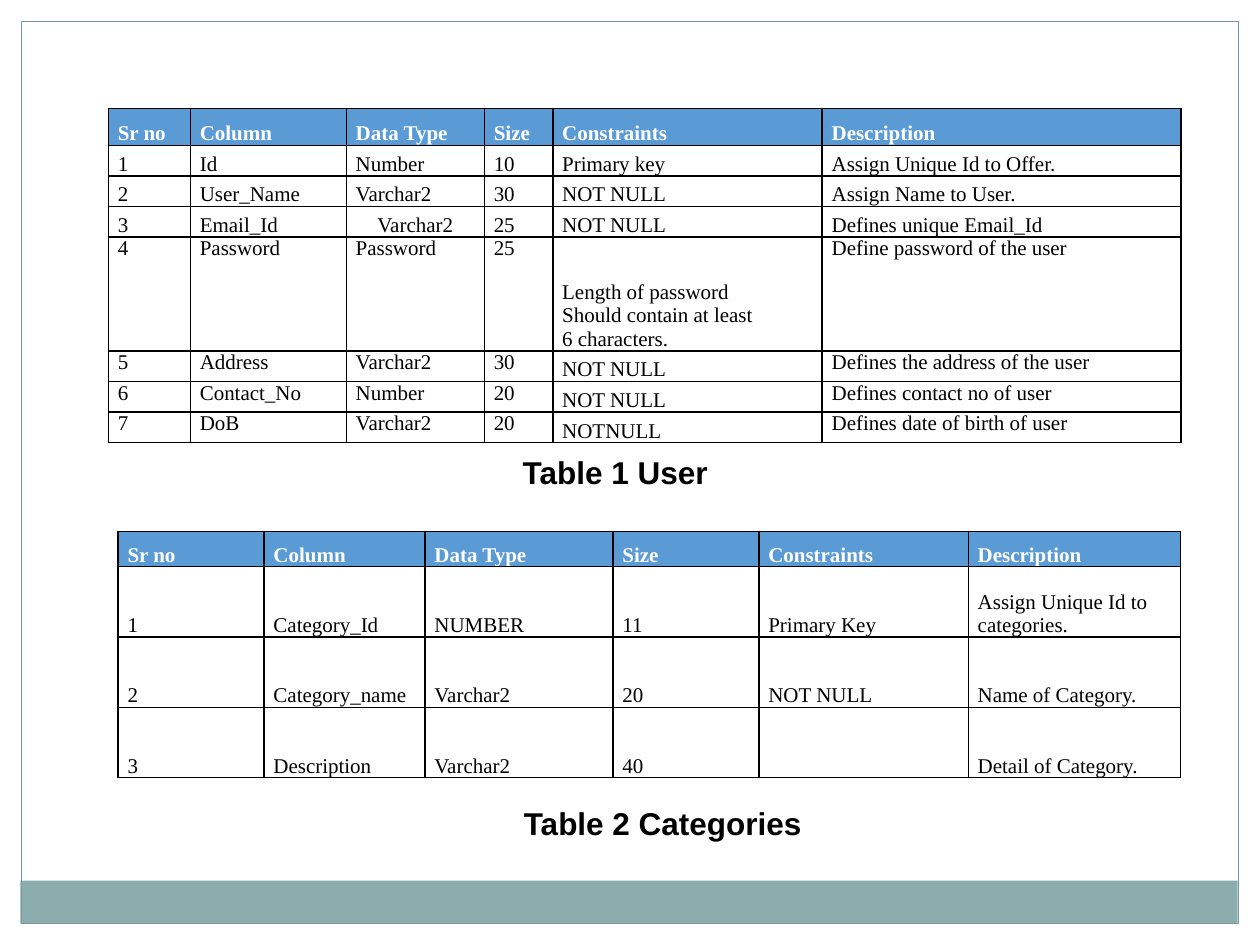
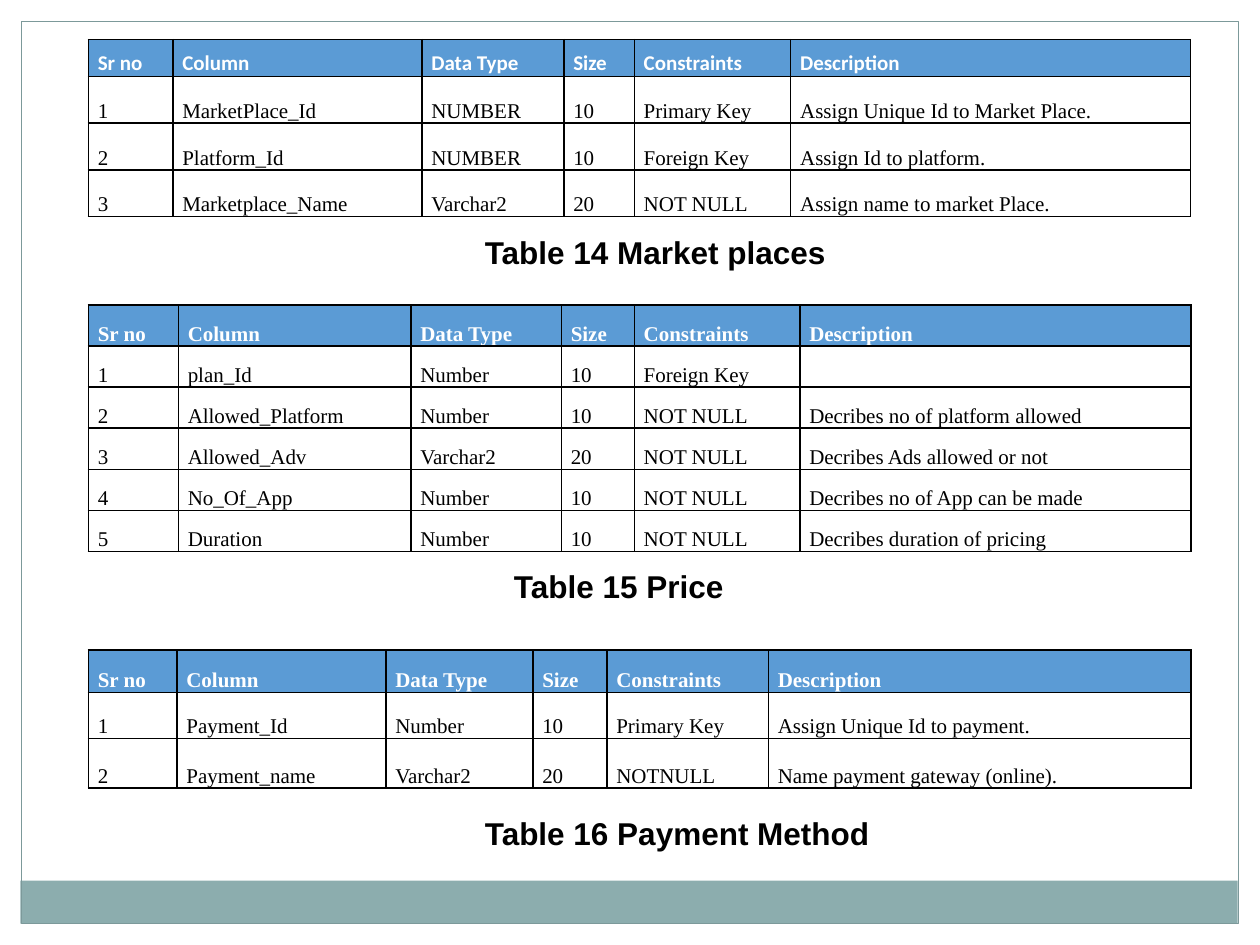
from lxml import etree
from pptx import Presentation
from pptx.dml.color import RGBColor
from pptx.enum.shapes import MSO_SHAPE
from pptx.enum.text import MSO_ANCHOR, MSO_AUTO_SIZE, PP_ALIGN
from pptx.oxml.ns import qn
from pptx.util import Pt

RECT = MSO_SHAPE.RECTANGLE
TOP, BOTTOM = MSO_ANCHOR.TOP, MSO_ANCHOR.BOTTOM
CENTER = PP_ALIGN.CENTER
GROW = MSO_AUTO_SIZE.SHAPE_TO_FIT_TEXT

WIDE, HIGH, EDGE = 720, 540, 12.2
WHITE, BLACK, BLUE = "FFFFFF", "000000", "5B9BD5"
TEAL, RIM = "8CADAE", "7C999A"
SERIF, SANS = "Times New Roman", "Arial"
HEADS = "Sr no|Column|Data Type|Size|Constraints|Description"

HEAD = {"name": SERIF, "size": Pt(12), "bold": True}
BODY = {"name": SERIF, "size": Pt(12), "bold": False}
TITLE = {"name": SANS, "size": Pt(18), "bold": True}

USER = [
    "1|Id|Number|10|Primary key|Assign Unique Id to Offer.",
    "2|User_Name|Varchar2|30|NOT NULL|Assign Name to User.",
    "3|Email_Id|Varchar2|25|NOT NULL|Defines unique Email_Id",
    "4|Password|Password|25|Length of password\nShould contain at least\n6 characters.|Define password of the user",
    "5|Address|Varchar2|30|NOT NULL|Defines the address of the user",
    "6|Contact_No|Number|20|NOT NULL|Defines contact no of user",
    "7|DoB|Varchar2|20|NOTNULL|Defines date of birth of user",
]
GROUPS = [
    "1|Category_Id|NUMBER|11|Primary Key|Assign Unique Id to categories.",
    "2|Category_name|Varchar2|20|NOT NULL|Name of Category.",
    "3|Description|Varchar2|40||Detail of Category.",
]
MARKET = [
    "1|MarketPlace_Id|NUMBER|10|Primary Key|Assign Unique Id to Market Place.",
    "2|Platform_Id|NUMBER|10|Foreign Key|Assign Id to platform.",
    "3|Marketplace_Name|Varchar2|20|NOT NULL|Assign name to market Place.",
]
PRICE = [
    "1|plan_Id|Number|10|Foreign Key|",
    "2|Allowed_Platform|Number|10|NOT NULL|Decribes no of platform allowed",
    "3|Allowed_Adv|Varchar2|20|NOT NULL|Decribes Ads allowed or not",
    "4|No_Of_App|Number|10|NOT NULL|Decribes no of App can be made",
    "5|Duration|Number|10|NOT NULL|Decribes duration of pricing",
]
PAYMENT = [
    "1|Payment_Id|Number|10|Primary Key|Assign Unique Id to payment.",
    "2|Payment_name|Varchar2|20|NOTNULL|Name payment gateway (online).",
]


def tint(code):
    return RGBColor.from_string(code)


def style(frame, look, color):
    for para in frame.paragraphs:
        for run in para.runs:
            for key, value in look.items():
                setattr(run.font, key, value)
            run.font.color.rgb = tint(color)


def block(slide, box, fill=None, line=None):
    shape = slide.shapes.add_shape(RECT, *map(Pt, box))
    shape.shadow.inherit = False
    if fill:
        shape.fill.solid()
        shape.fill.fore_color.rgb = tint(fill)
    else:
        shape.fill.background()
    if line:
        shape.line.color.rgb = tint(line)
        shape.line.width = Pt(0.75)
    else:
        shape.line.fill.background()


def border(cell):
    props = cell._tc.get_or_add_tcPr()
    for side in ("lnL", "lnR", "lnT", "lnB"):
        line = etree.SubElement(props, qn("a:" + side), w=str(Pt(1)))
        fill = etree.SubElement(line, qn("a:solidFill"))
        etree.SubElement(fill, qn("a:srgbClr"), val=BLACK)


def fill_cell(cell, text, head, look):
    cell.text = text
    cell.margin_left = cell.margin_right = Pt(5.4)
    cell.margin_top = cell.margin_bottom = 0
    cell.vertical_anchor = BOTTOM
    border(cell)
    if head:
        cell.fill.solid()
        cell.fill.fore_color.rgb = tint(BLUE)
    else:
        cell.fill.background()
    style(cell.text_frame, look, WHITE if head else BLACK)


def grid(slide, spot, cols, rows, lines, font=SERIF):
    lines = [HEADS] + lines
    box = (*spot, sum(cols), sum(rows))
    table = slide.shapes.add_table(len(rows), len(cols), *map(Pt, box)).table
    table.first_row = table.horz_banding = False
    for col, width in zip(table.columns, cols):
        col.width = Pt(width)
    for row, height in zip(table.rows, rows):
        row.height = Pt(height)
    for r, line in enumerate(lines):
        look = BODY if r else {**HEAD, "name": font}
        for c, text in enumerate(line.split("|")):
            fill_cell(table.cell(r, c), text, r == 0, look)
    return table


def label(slide, box, text, wrap=False):
    frame = slide.shapes.add_textbox(*map(Pt, box)).text_frame
    frame.word_wrap = wrap
    frame.auto_size = GROW
    frame.text = text
    style(frame, TITLE, BLACK)


def base(deck):
    slide = deck.slides.add_slide(deck.slide_layouts[6])
    inner = WIDE - 2 * EDGE
    for box in ((0, 0, WIDE, EDGE), (WIDE - EDGE, 0, EDGE, HIGH), (0, 0, EDGE, HIGH)):
        block(slide, box, WHITE)
    block(slide, (EDGE - 0.5, 503.3, inner, 24.5), TEAL)
    block(slide, (EDGE, EDGE, inner, HIGH - 2 * EDGE), line=RIM)
    return slide


def users(deck):
    slide = base(deck)
    table = grid(slide, (61.9, 61.9), [46.9, 89.1, 78.9, 39.1, 154, 204.9],
                 [21.1] + [17.5] * 3 + [65] + [17.5] * 3, USER)
    table.cell(3, 2).text_frame.paragraphs[0].alignment = CENTER
    for r in range(4, 8):
        for c in (0, 1, 2, 3, 5):
            table.cell(r, c).vertical_anchor = TOP
    label(slide, (291.6, 255.6, 121, 28.8), "Table 1 User")
    grid(slide, (67.5, 303.7), [83.4, 92, 107.4, 83.4, 119.7, 121.4],
         [20.1] + [40.2] * 3, GROUPS)
    label(slide, (292.3, 455.8, 275.8, 28.8), "Table 2 Categories", True)


def sales(deck):
    slide = base(deck)
    left = 50.5
    grid(slide, (left, 22.6), [48.3, 142.3, 81.1, 40.3, 89.4, 228.6],
         [21.1] + [26.7] * 3, MARKET, "Calibri")
    label(slide, (270, 129.6, 211, 28.8), "Table 14 Market places")
    grid(slide, (left, 174.2), [51.4, 132.9, 86, 41.7, 94.6, 223.4],
         [23.5] * 6, PRICE)
    label(slide, (286.6, 320.4, 135.4, 28.8), "Table 15 Price")
    grid(slide, (left, 371.3), [50.6, 119.4, 84, 42.3, 92.3, 241.4],
         [24.4, 26.2, 28.3], PAYMENT)
    label(slide, (270, 461.5, 236.2, 28.8), "Table 16 Payment Method")


def main():
    deck = Presentation()
    deck.slide_width, deck.slide_height = Pt(WIDE), Pt(HIGH)
    users(deck)
    sales(deck)
    deck.save("out.pptx")


if __name__ == "__main__":
    main()
